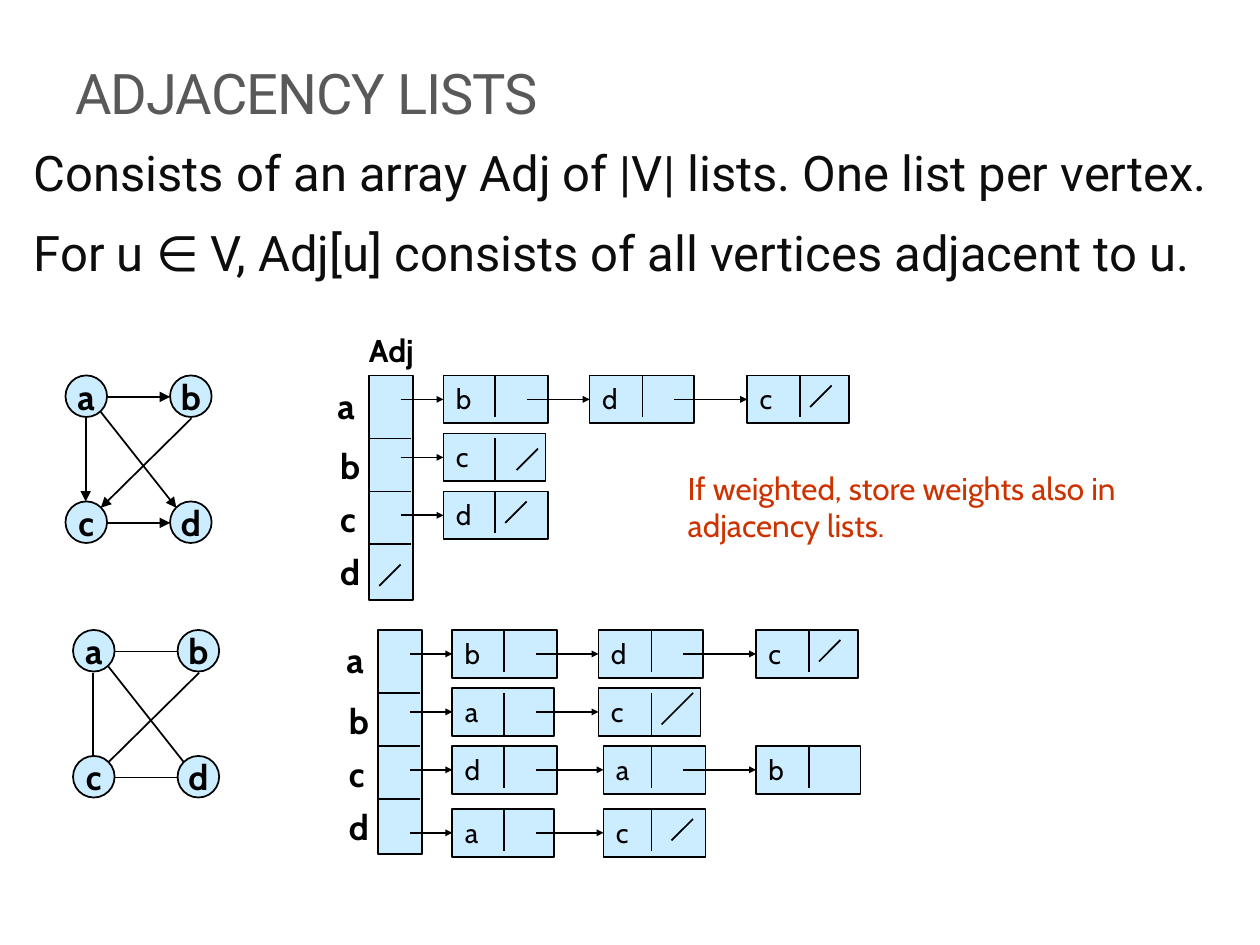
from dataclasses import dataclass

from lxml.etree import SubElement
from pptx import Presentation
from pptx.dml.color import RGBColor
from pptx.enum.shapes import MSO_CONNECTOR, MSO_SHAPE
from pptx.enum.text import MSO_ANCHOR, PP_ALIGN
from pptx.oxml.ns import qn
from pptx.util import Inches, Pt


@dataclass(frozen=True)
class Theme:
    heading_font: str = "Roboto"
    diagram_font: str = "Cabin"
    title: str = "595959"
    body: str = "0D0D0D"
    ink: str = "000000"
    fill: str = "CCECFF"
    note: str = "CC3300"
    title_size: int = 32
    body_size: int = 28
    label_size: int = 20
    note_size: int = 18
    cell_size: int = 16


T = Theme()

# Offsets inside a graph: node corners and edge ends
NODE = 0.33
NODES = {"a": (0, 0), "b": (0.83, 0), "c": (0, 1), "d": (0.83, 1)}
EDGES = [
    (0.33, 0.17, 0.83, 0.17),  # a to b
    (1.0, 0.34, 0.28, 1.05),  # b to c
    (0.16, 0.34, 0.16, 1.0),  # a to c
    (0.28, 0.29, 0.88, 1.05),  # a to d
    (0.33, 1.17, 0.83, 1.17),  # c to d
]

# Offsets inside an adjacency list, from the corner of its array
ARRAY_W, ARRAY_H, CELL_H = 0.35, 1.78, 0.38
LABELS = {"a": (-0.35, 0.02), "b": (-0.33, 0.5), "c": (-0.33, 0.92), "d": (-0.33, 1.34)}
ARRAY_RULES = [0.5, 0.92, 1.34]
ROW_TOPS = [0, 0.5, 0.92, 1.42]
CELL_TOPS = [0, 0.46, 0.92, 1.42]
CELL_LEFTS = [0.59, 1.75, 3.0]
CELL_RULES = [1.0, 2.17, 3.42]
CELL_WIDTHS = {"a": 0.81, "b": 0.83, "c": 0.81, "d": 0.83}
ARROW_STARTS = [0.25, 1.25, 2.42]


def write(sp, text, size, color=T.ink, font=T.diagram_font, bold=False, wrap=True,
          align=PP_ALIGN.LEFT, anchor=MSO_ANCHOR.TOP, after=0, before=0, spacing=None):
    """Fill a shape with one paragraph for each line of text."""
    tf = sp.text_frame
    tf.word_wrap = wrap
    tf.vertical_anchor = anchor
    for i, line in enumerate(text.split("\n")):
        p = tf.paragraphs[0] if i == 0 else tf.add_paragraph()
        p.alignment = align
        p.space_before = Pt(before if i else 0)
        p.space_after = Pt(after)
        r = p.add_run()
        r.text = line
        r.font.size, r.font.name, r.font.bold = Pt(size), font, bold
        r.font.color.rgb = RGBColor.from_string(color)
        if spacing is not None:
            r.font._element.set("spc", str(spacing))


def add_text(s, x, y, w, h, text, size, **fmt):
    sp = s.shapes.add_textbox(Inches(x), Inches(y), Inches(w), Inches(h))
    write(sp, text, size, **fmt)
    return sp


def add_box(s, kind, x, y, w, h):
    sp = s.shapes.add_shape(kind, Inches(x), Inches(y), Inches(w), Inches(h))
    sp.shadow.inherit = False
    sp.fill.solid()
    sp.fill.fore_color.rgb = RGBColor.from_string(T.fill)
    sp.line.color.rgb = RGBColor.from_string(T.ink)
    sp.line.width = Pt(1)
    return sp


def add_line(s, x1, y1, x2, y2, head=None):
    """Draw a line; head is the arrowhead size ("sm", "med") or None."""
    c = s.shapes.add_connector(MSO_CONNECTOR.STRAIGHT, Inches(x1), Inches(y1),
                               Inches(x2), Inches(y2))
    c.line.color.rgb = RGBColor.from_string(T.ink)
    c.line.width = Pt(1)
    if head:
        SubElement(c.line._get_or_add_ln(), qn("a:tailEnd"), type="triangle", w=head, len=head)
    SubElement(c._element.spPr, qn("a:effectLst"))
    return c


def add_slash(s, x, y, dx=0.08, dy=0.08, size=0.17):
    """Mark the end of a list with a rising stroke."""
    add_line(s, x + dx + size, y + dy, x + dx, y + dy + size)


def add_graph(s, x, y, directed):
    for name, (dx, dy) in NODES.items():
        sp = add_box(s, MSO_SHAPE.OVAL, x + dx, y + dy, NODE, NODE)
        write(sp, name, T.label_size, bold=True, wrap=False,
              align=PP_ALIGN.CENTER, anchor=MSO_ANCHOR.MIDDLE)
    for x1, y1, x2, y2 in EDGES:
        add_line(s, x + x1, y + y1, x + x2, y + y2, "med" if directed else None)


def add_adjacency(s, x, y, rows):
    """Each row is its chain of vertices and the format of its end slash, or None."""
    # Vertex array
    add_box(s, MSO_SHAPE.RECTANGLE, x, y, ARRAY_W, ARRAY_H)
    for name, (dx, dy) in LABELS.items():
        add_text(s, x + dx, y + dy, 0.35, 0.43, name, T.label_size, bold=True, wrap=False)
    for dy in ARRAY_RULES:
        add_line(s, x, y + dy, x + 0.33, y + dy)

    # Linked cells
    for i, (chain, slash) in enumerate(rows):
        row_y, cell_y = y + ROW_TOPS[i], y + CELL_TOPS[i]
        rule_x = x
        for j, name in enumerate(chain):
            nudge = 0.04 if j == 1 and i >= 2 else 0
            cell = add_box(s, MSO_SHAPE.RECTANGLE, x + CELL_LEFTS[j] + nudge, cell_y,
                           CELL_WIDTHS[name], CELL_H)
            write(cell, name, T.cell_size)
            rule_x = x + CELL_RULES[j]
            add_line(s, rule_x, row_y, rule_x, row_y + 0.33)
            mid = cell_y + CELL_H / 2
            arrow = add_line(s, x + ARROW_STARTS[j], mid, x + CELL_LEFTS[j], mid, "sm")
            arrow.end_connect(cell, 1)
        if slash is not None:
            add_slash(s, rule_x, row_y, **slash)


def add_heading(s):
    add_text(s, 0.5, 0.25, 8.17, 0.8, "ADJACENCY LISTS", T.title_size, color=T.title,
             font=T.heading_font, anchor=MSO_ANCHOR.BOTTOM, spacing=-60)
    add_text(s, 0.17, 1.08, 9.67, 1.75,
             "Consists of an array Adj of |V| lists. One list per vertex.\n"
             "For u ∈ V, Adj[u] consists of all vertices adjacent to u.",
             T.body_size, color=T.body, font=T.heading_font, before=6.5, after=6)


def main():
    prs = Presentation()
    prs.slide_width, prs.slide_height = Inches(10), Inches(7.5)
    s = prs.slides.add_slide(prs.slide_layouts[6])
    add_heading(s)

    # Directed graph
    add_graph(s, 0.52, 2.98, directed=True)
    add_adjacency(s, 2.93, 2.98, [("bdc", {}), ("c", {"dx": 0.17}), ("d", {}), ("", {})])
    add_text(s, 2.83, 2.58, 0.61, 0.4, "Adj", T.note_size, bold=True, wrap=False)
    add_text(s, 5.36, 3.67, 4.64, 0.9, "If weighted, store weights also in adjacency lists.",
             T.note_size, color=T.note)

    # Undirected graph
    add_graph(s, 0.58, 5, directed=False)
    add_adjacency(s, 3, 5, [("bdc", {}), ("ac", {"dy": 0, "size": 0.25}),
                            ("dab", None), ("ac", {"dx": 0.16})])
    prs.save("out.pptx")


if __name__ == "__main__":
    main()
